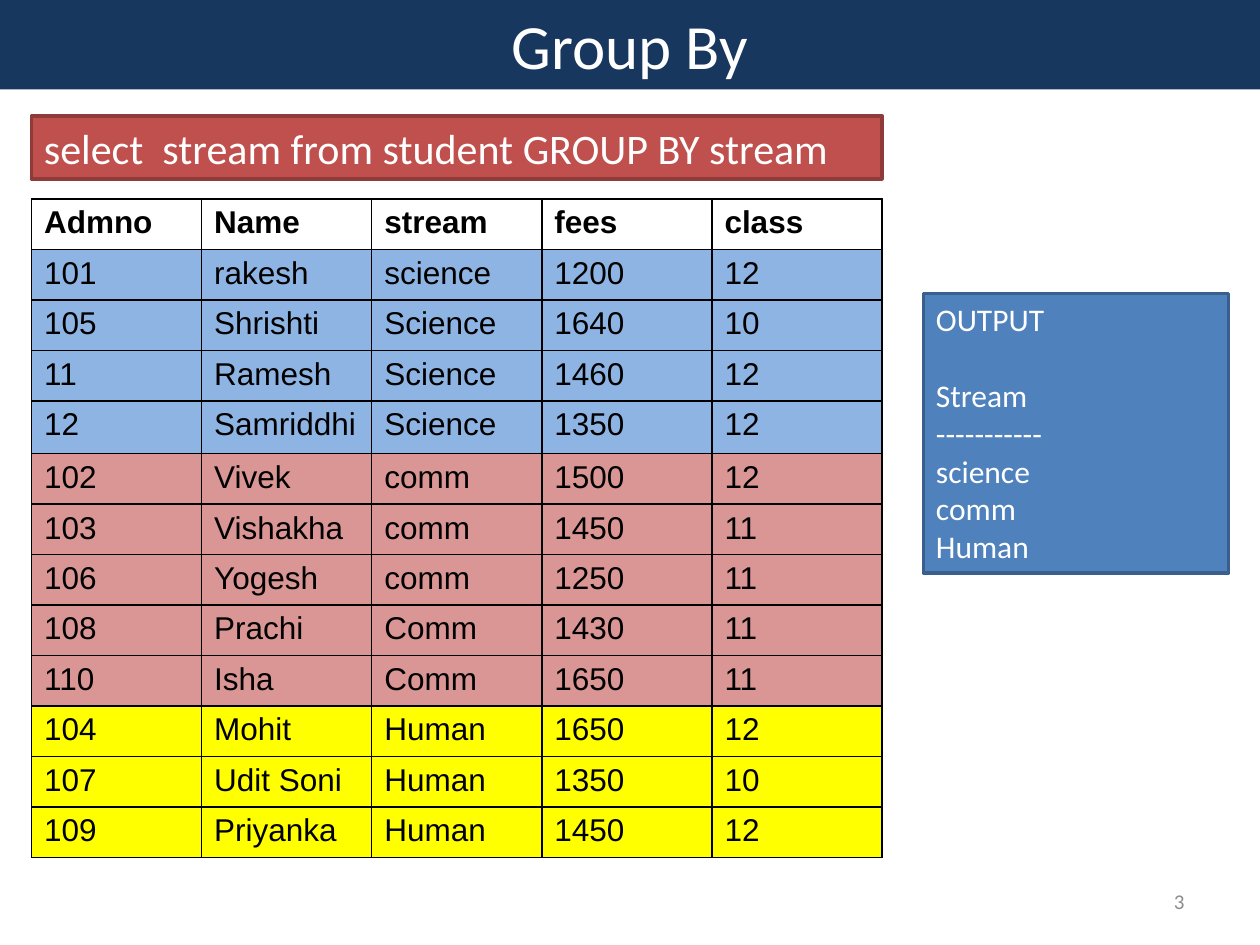
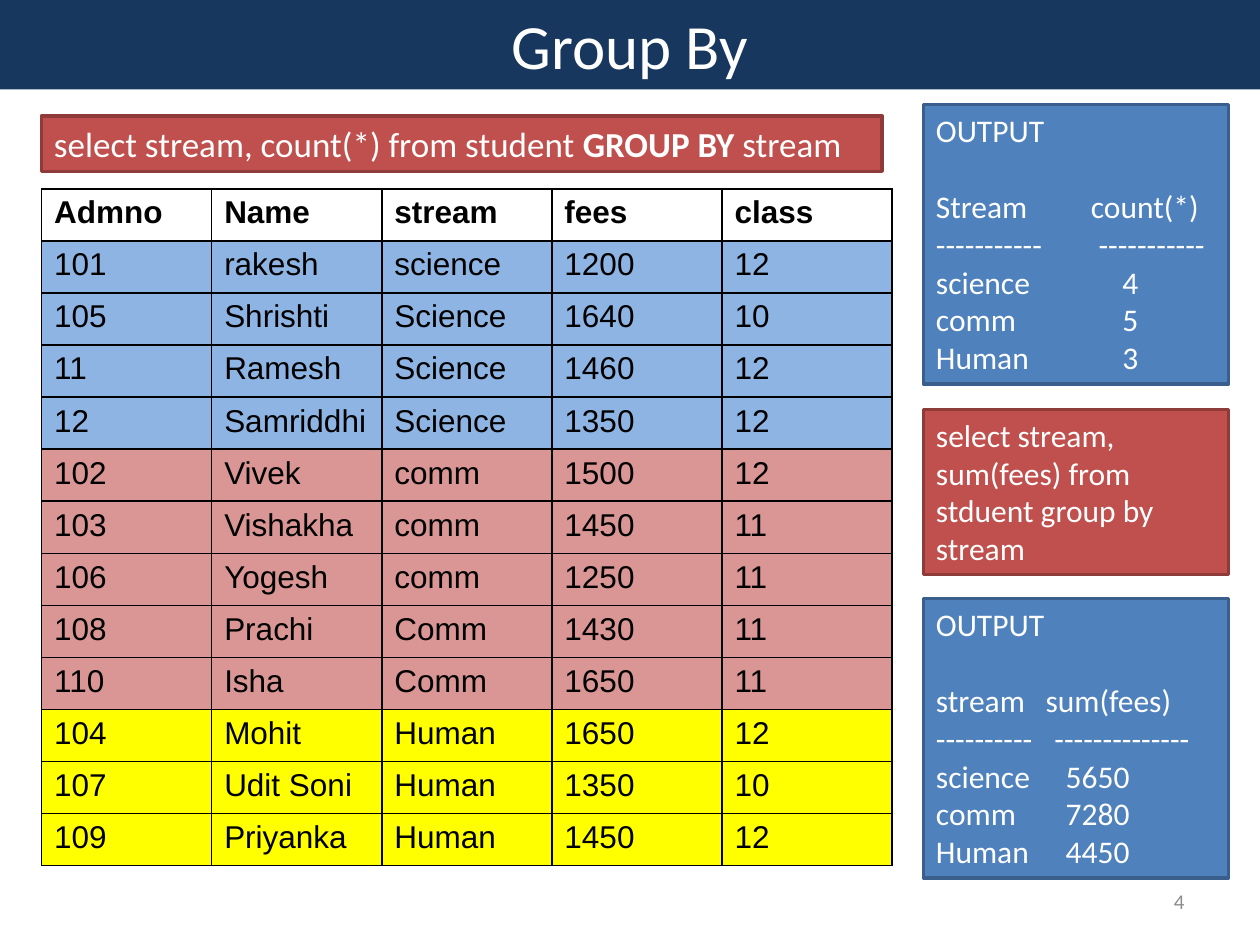
from lxml.etree import SubElement as Sub
from pptx import Presentation
from pptx.dml.color import RGBColor as RGB
from pptx.enum.shapes import MSO_SHAPE as Shape
from pptx.enum.text import MSO_ANCHOR as Anchor, MSO_AUTO_SIZE as Auto, PP_ALIGN as Align
from pptx.oxml.ns import qn
from pptx.util import Inches, Pt

HUES = {
    "band": "17375E", "white": "FFFFFF", "black": "000000", "grey": "8C8C8C",
    "blue": "4F81BD", "blue edge": "3A5F8C",
    "red": "C0504D", "red edge": "8E3B39",
    "science": "8EB4E3", "comm": "D99694", "human": "FFFF00",
}
HEADS = ["Admno", "Name", "stream", "fees", "class"]
ROWS = [
    ["101", "rakesh", "science", "1200", "12"],
    ["105", "Shrishti", "Science", "1640", "10"],
    ["11", "Ramesh", "Science", "1460", "12"],
    ["12", "Samriddhi", "Science", "1350", "12"],
    ["102", "Vivek", "comm", "1500", "12"],
    ["103", "Vishakha", "comm", "1450", "11"],
    ["106", "Yogesh", "comm", "1250", "11"],
    ["108", "Prachi", "Comm", "1430", "11"],
    ["110", "Isha", "Comm", "1650", "11"],
    ["104", "Mohit", "Human", "1650", "12"],
    ["107", "Udit Soni", "Human", "1350", "10"],
    ["109", "Priyanka", "Human", "1450", "12"],
]
SIDE, SIDE_W, OUT_H = 7.33, 2.42, 2.22  # right column


def hue(name):
    return RGB.from_string(HUES[name])


def add_run(para, text, size, color="white", font="Calibri", bold=False):
    run = para.add_run()
    run.text = text
    run.font.size = Pt(size)
    run.font.name = font
    run.font.bold = bold
    run.font.color.rgb = hue(color)


def set_tab(para, pos):
    tabs = Sub(para._p.get_or_add_pPr(), qn("a:tabLst"))
    Sub(tabs, qn("a:tab"), pos=str(Inches(pos)), algn="l")


def add_page(deck, number):
    """Slide with its title band and page number."""
    page = deck.slides.add_slide(deck.slide_layouts[5])
    title = page.shapes.title
    title.left, title.top = Inches(0), Inches(0)
    title.width, title.height = Inches(10), Inches(0.71)
    title.fill.solid()
    title.fill.fore_color.rgb = hue("band")
    frame = title.text_frame
    frame.auto_size = Auto.NONE
    frame.vertical_anchor = Anchor.TOP
    frame.paragraphs[0].alignment = Align.CENTER
    add_run(frame.paragraphs[0], "Group By", 36)

    # Page number
    foot = page.shapes.add_textbox(Inches(7.17), Inches(6.95), Inches(2.33), Inches(0.4))
    foot.text_frame.word_wrap = True
    foot.text_frame.vertical_anchor = Anchor.MIDDLE
    para = foot.text_frame.paragraphs[0]
    para.alignment = Align.RIGHT
    add_run(para, number, 12, "grey")
    return page


def add_panel(page, box, color):
    """Filled, edged rectangle; gives back its text frame."""
    panel = page.shapes.add_shape(Shape.RECTANGLE, *map(Inches, box))
    panel.shadow.inherit = False
    panel.fill.solid()
    panel.fill.fore_color.rgb = hue(color)
    panel.line.color.rgb = hue(color + " edge")
    panel.line.width = Pt(2)
    frame = panel.text_frame
    frame.word_wrap = True
    frame.vertical_anchor = Anchor.TOP
    frame.paragraphs[0].alignment = Align.LEFT
    return frame


def add_query(page, box, parts, size):
    """SQL panel; parts are (text, bold) pairs."""
    para = add_panel(page, box, "red").paragraphs[0]
    for text, bold in parts:
        add_run(para, text, size, bold=bold)


def add_output(page, top, lines, stops=()):
    """Result panel; stops are the tabs of heading, rule and values."""
    frame = add_panel(page, (SIDE, top, SIDE_W, OUT_H), "blue")
    head = frame.paragraphs[0]
    head.space_after = Pt(22)
    add_run(head, "OUTPUT", 18)
    for i, line in enumerate(lines):
        para = frame.add_paragraph()
        para.alignment = Align.LEFT
        if stops:
            set_tab(para, stops[min(i, 2)])
        add_run(para, line, 18)


def fill_cell(cell, text, color, bold):
    props = cell._tc.get_or_add_tcPr()
    for side in ("lnL", "lnR", "lnT", "lnB"):
        edge = Sub(props, qn("a:" + side), w=str(Pt(1)))
        Sub(Sub(edge, qn("a:solidFill")), qn("a:srgbClr"), val=HUES["black"])
    cell.fill.solid()
    cell.fill.fore_color.rgb = hue(color)
    add_run(cell.text_frame.paragraphs[0], text, 18, "black", "Arial", bold)


def add_grid(page, left, top, high):
    """Student table, each row coloured by its stream."""
    data = [HEADS] + ROWS
    grid = page.shapes.add_table(len(data), len(HEADS), Inches(left), Inches(top),
                                 Inches(6.75), Inches(high * len(data))).table
    grid.first_row = grid.horz_banding = False
    for col in grid.columns:
        col.width = Inches(1.35)
    for r, row in enumerate(data):
        grid.rows[r].height = Inches(high)
        color = row[2].lower() if r else "white"
        for c, text in enumerate(row):
            fill_cell(grid.cell(r, c), text, color, r == 0)
    return grid


def add_plain(deck):
    """GROUP BY on its own."""
    page = add_page(deck, "3")
    grid = add_grid(page, 0.25, 1.58, 0.4)
    grid.rows[4].height = Inches(0.42)
    add_output(page, 2.33, ["Stream", "-" * 11, "science", "comm", "Human"])
    add_query(page, (0.25, 0.92, 6.75, 0.5),
              [("select  stream from student GROUP BY stream", False)], 24)


def add_totals(deck):
    """GROUP BY with count and sum."""
    page = add_page(deck, "4")
    add_grid(page, 0.33, 1.5, 5.37 / 13)
    add_output(page, 0.83,
               ["Stream\tcount(*)", "-" * 11 + "\t" + "-" * 11,
                "science\t4", "comm\t5", "Human\t3"], (1.23, 1.29, 1.48))
    add_query(page, (0.33, 0.92, 6.67, 0.44),
              [("select stream, count(*) from student ", False),
               ("GROUP BY", True), (" stream", False)], 20)
    add_query(page, (SIDE, 3.25, SIDE_W, 1.31),
              [("select stream, sum(fees) from stduent group by stream", False)], 18)
    add_output(page, 4.75,
               ["stream\tsum(fees)", "-" * 10 + "\t" + "-" * 14,
                "science\t5650", "comm\t7280", "Human\t4450"], (0.87, 0.94, 1.03))


def main():
    deck = Presentation()
    deck.slide_width, deck.slide_height = Inches(10), Inches(7.5)
    add_plain(deck)
    add_totals(deck)
    deck.save("out.pptx")


if __name__ == "__main__":
    main()
